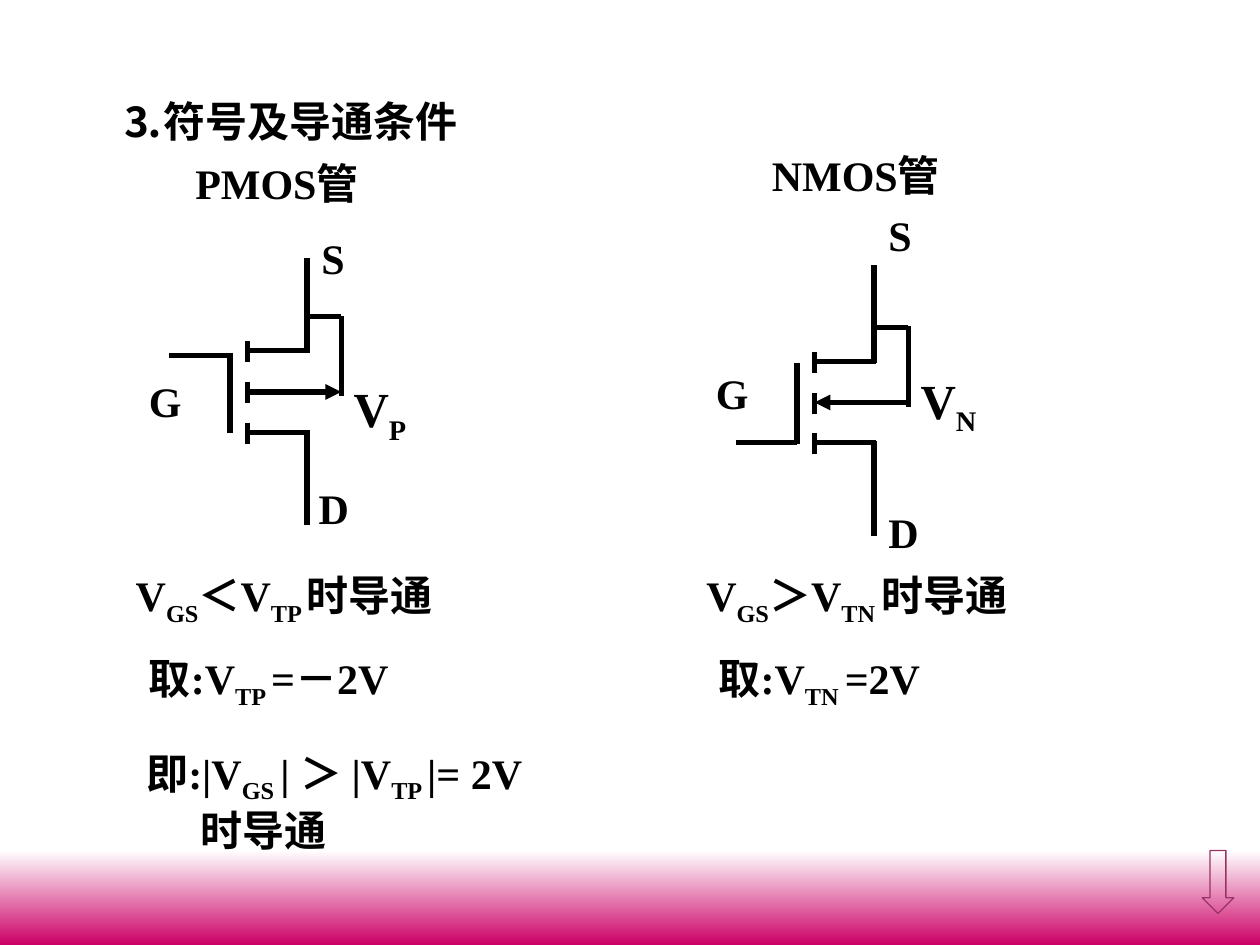
"""Build a slide on the symbols and turn-on conditions of PMOS and NMOS transistors."""

from dataclasses import dataclass

from lxml.etree import SubElement
from pptx import Presentation
from pptx.dml.color import RGBColor
from pptx.enum.shapes import MSO_CONNECTOR as Connector, MSO_SHAPE as Shape
from pptx.enum.text import MSO_ANCHOR as Anchor, MSO_AUTO_SIZE as AutoSize, PP_ALIGN as Align
from pptx.oxml.ns import qn
from pptx.slide import Slide
from pptx.text.text import _Paragraph as Paragraph
from pptx.util import Pt


@dataclass(frozen=True)
class Theme:
    font: str = "Times New Roman"
    ink: RGBColor = RGBColor(0, 0, 0)
    paper: RGBColor = RGBColor(255, 255, 255)
    band: RGBColor = RGBColor(0xCC, 0x00, 0x66)
    arrow: RGBColor = RGBColor(0x99, 0x33, 0x66)
    text_size: float = 24
    symbol_size: float = 28
    wire: float = 3
    outline: float = 0.75


@dataclass(frozen=True)
class Label:
    text: str
    left: float
    top: float
    width: float = 38
    height: float = 36
    size: float = 24
    wrap: bool = True
    second_line: str = ""


@dataclass(frozen=True)
class Transistor:
    left: float
    top: float
    source_top: float
    gate_lead: float
    arrow_out: bool


THEME = Theme()
SECOND_LINE_INDENT = 31
TITLE = "⒊符号及导通条件"

TRANSISTORS = [
    Transistor(96.5, 195, -47.5, 8, True),
    Transistor(420.5, 201, -49.5, 52, False),
]

LABELS = [
    Label("PMOS管", 104.5, 86.5, 113, wrap=False),
    Label("S", 176.5, 129.5),
    Label("D", 175, 272),
    Label("G", 78, 211),
    Label("V[P]", 195, 213, 52.5, 45, THEME.symbol_size),
    Label("NMOS管", 434, 82, 116, wrap=False),
    Label("S", 500.5, 116),
    Label("D", 500.5, 286),
    Label("G", 402, 206.5),
    Label("V[N]", 519, 208, 52.5, 45, THEME.symbol_size),
    Label("V[GS]＜V[TP ]时导通", 70.5, 322, 202, 40, wrap=False),
    Label("取:V[TP ]=－2V", 78, 369.5, 170, 40),
    Label("即:|V[GS ]| ＞ |V[TP ]|= 2V", 76.5, 423.5, 252, 69, second_line="时导通"),
    Label("V[GS]＞V[TN ]时导通", 396.5, 322, 204, 40, wrap=False),
    Label("取:V[TN ]=2V", 403.5, 369.5, 170, 40),
]


def write_spans(para: Paragraph, text: str, size: float) -> None:
    """Write text whose bracketed parts are subscripts."""
    for index, part in enumerate(text.replace("]", "[").split("[")):
        if not part:
            continue
        span = para.add_run()
        span.text = part
        span.font.name = THEME.font
        span.font.size = Pt(size)
        span.font.bold = True
        span.font.color.rgb = THEME.ink
        if index % 2:
            span.font._element.set("baseline", "-25000")


def draw_title(page: Slide) -> None:
    """Place and format the title placeholder."""
    title = page.shapes.title
    title.left, title.top, title.width, title.height = Pt(54), Pt(48), Pt(223), Pt(42)
    frame = title.text_frame
    frame.vertical_anchor = Anchor.MIDDLE
    para = frame.paragraphs[0]
    para.alignment = Align.CENTER
    write_spans(para, TITLE, THEME.text_size)


def draw_label(page: Slide, label: Label) -> None:
    """Draw one text box."""
    box = page.shapes.add_textbox(Pt(label.left), Pt(label.top), Pt(label.width), Pt(label.height))
    frame = box.text_frame
    frame.word_wrap = label.wrap
    frame.auto_size = AutoSize.SHAPE_TO_FIT_TEXT
    write_spans(frame.paragraphs[0], label.text, label.size)
    if label.second_line:
        para = frame.add_paragraph()
        para._p.get_or_add_pPr().set("marL", str(Pt(SECOND_LINE_INDENT)))
        write_spans(para, label.second_line, label.size)


def draw_wire(page: Slide, x1: float, y1: float, x2: float, y2: float, arrow: bool = False) -> None:
    """Draw a straight wire, with an arrowhead at its end if asked."""
    wire = page.shapes.add_connector(Connector.STRAIGHT, Pt(x1), Pt(y1), Pt(x2), Pt(y2))
    wire.line.color.rgb = THEME.ink
    wire.line.width = Pt(THEME.wire)
    if arrow:
        SubElement(wire.line._get_or_add_ln(), qn("a:tailEnd"), type="triangle")
    SubElement(wire._element.spPr, qn("a:effectLst"))


def draw_transistor(page: Slide, part: Transistor) -> None:
    """Draw a transistor symbol from its gate lead to its substrate loop."""
    gate, channel, lead, loop = 35, 45, 79, 98.5
    source, bulk, drain = 5.5, 29, 52
    wires = [
        (0, part.gate_lead, gate, part.gate_lead),
        (gate, 6.5, gate, 52.5),
        *((channel, top, channel, top + 12) for top in (0, 23.5, 46.5)),
        (channel, source, lead + 1, source),
        (channel, drain, lead + 1, drain),
        (lead, source + 1, lead, part.source_top),
        (lead, drain - 1, lead, 105),
        (lead, -14, loop, -14),
        (loop, -14.5, loop, 31.5),
    ]
    for x1, y1, x2, y2 in wires:
        draw_wire(page, part.left + x1, part.top + y1, part.left + x2, part.top + y2)
    start, end = (channel, loop) if part.arrow_out else (loop, channel)
    draw_wire(page, part.left + start, part.top + bulk, part.left + end, part.top + bulk, True)


def draw_band(page: Slide) -> None:
    """Draw the gradient band along the bottom edge."""
    band = page.shapes.add_shape(Shape.RECTANGLE, Pt(0), Pt(486), Pt(720), Pt(54))
    band.shadow.inherit = False
    band.line.fill.background()
    band.fill.gradient()
    band.fill.gradient_angle = 270
    for stop, color, position in zip(band.fill.gradient_stops, (THEME.paper, THEME.band), (0, 1)):
        stop.color.rgb = color
        stop.position = position


def draw_down_arrow(page: Slide) -> None:
    """Draw the outlined arrow in the bottom corner."""
    arrow = page.shapes.add_shape(Shape.DOWN_ARROW, Pt(687), Pt(486), Pt(18), Pt(36))
    arrow.shadow.inherit = False
    arrow.fill.background()
    arrow.line.color.rgb = THEME.arrow
    arrow.line.width = Pt(THEME.outline)


def main() -> None:
    """Build and save the deck."""
    deck = Presentation()
    deck.slide_width, deck.slide_height = Pt(720), Pt(540)
    page = deck.slides.add_slide(deck.slide_layouts[5])
    draw_band(page)
    draw_title(page)
    for part in TRANSISTORS:
        draw_transistor(page, part)
    for label in LABELS:
        draw_label(page, label)
    draw_down_arrow(page)
    deck.save("out.pptx")


if __name__ == "__main__":
    main()
